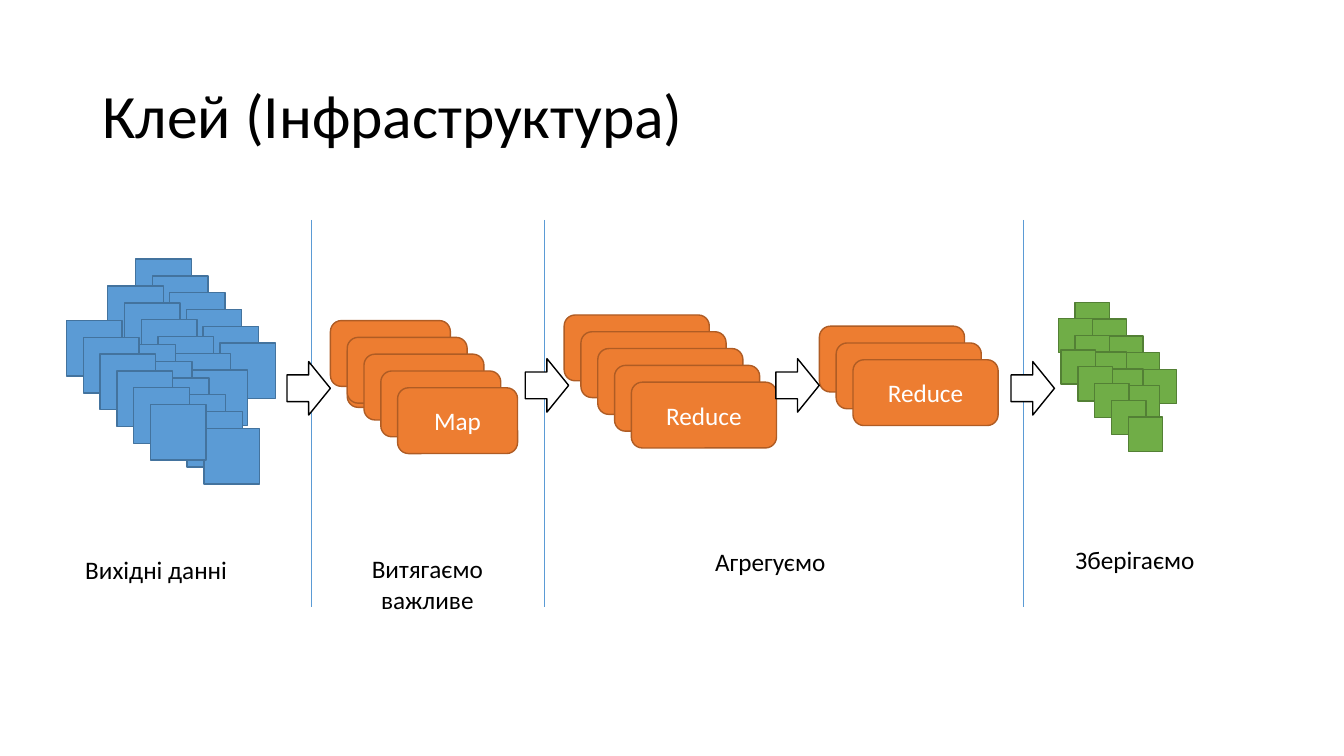
from dataclasses import dataclass
from lxml.etree import SubElement
from pptx import Presentation
from pptx.dml.color import RGBColor
from pptx.enum.shapes import MSO_CONNECTOR, MSO_SHAPE
from pptx.enum.text import MSO_ANCHOR, MSO_AUTO_SIZE, PP_ALIGN
from pptx.oxml.ns import qn
from pptx.util import Pt


@dataclass(frozen=True)
class Theme:
    font: str = "Calibri"
    title_size: int = 44
    text_size: int = 18
    black: str = "000000"
    white: str = "FFFFFF"
    divider: str = "5B9BD5"
    source: tuple = ("5B9BD5", "43739E")
    task: tuple = ("ED7D31", "AF5C24")
    result: tuple = ("70AD47", "538035")
    arrow: tuple = ("FFFFFF", "000000")


T = Theme()
TITLE = "Клей (Інфраструктура)"
STEP = 12

SOURCE_SIZE, RESULT_SIZE = (39.7, 39.7), (24.5, 24.5)
MAP_SIZE, REDUCE_SIZE = (85.7, 47), (103.7, 47)
RECT, CARD = MSO_SHAPE.RECTANGLE, MSO_SHAPE.ROUNDED_RECTANGLE

# kind, colours, size, label, [(left, top, count)]
STACKS = [
    (RECT, T.source, SOURCE_SIZE, "",
     [(97, 185, 6), (77, 204.3, 6), (85.6, 246, 6), (47.5, 229, 6)]),
    (CARD, T.task, MAP_SIZE, "Map",
     [(236, 229, 1), (248, 244, 1), (248, 241, 4)]),
    (CARD, T.task, REDUCE_SIZE, "Reduce", [(403, 225, 5), (585.3, 233, 3)]),
    (RECT, T.result, RESULT_SIZE, "",
     [(768, 216, 5), (756, 227.5, 5), (758, 250, 5)]),
]
DIVIDERS = [222.5, 388.7, 731]
DIVIDER_TOP, DIVIDER_BOTTOM = 157, 433.3
CAPTION_WIDTH = 148.5
CAPTIONS = [
    ("Вихідні данні", 37.3, 392.5, 29),
    ("Витягаємо важливе", 231, 392, 51),
    ("Агрегуємо", 476, 386.5, 29),
    ("Зберігаємо", 736.5, 385.5, 29),
]
ARROW_SIZE = (31, 38.2)
ARROWS = [(205, 258.3), (375.2, 256.2), (554.2, 256.2), (722.2, 258.3)]


def rgb(value):
    return RGBColor.from_string(value)


def write(tf, text, size, color, align):
    p = tf.paragraphs[0]
    p.alignment = align
    r = p.add_run()
    r.text = text
    r.font.name, r.font.size = T.font, Pt(size)
    r.font.color.rgb = rgb(color)


def add_box(kind, left, top, size, colors, label=""):
    sp = s.shapes.add_shape(kind, Pt(left), Pt(top), Pt(size[0]), Pt(size[1]))
    sp.shadow.inherit = False
    sp.fill.solid()
    sp.fill.fore_color.rgb = rgb(colors[0])
    sp.line.color.rgb = rgb(colors[1])
    sp.line.width = Pt(1)
    if label:
        sp.text_frame.vertical_anchor = MSO_ANCHOR.MIDDLE
        write(sp.text_frame, label, T.text_size, T.white, PP_ALIGN.CENTER)


prs = Presentation()
prs.slide_width, prs.slide_height = Pt(960), Pt(540)
s = prs.slides.add_slide(prs.slide_layouts[5])

title = s.shapes.title
title.left, title.top, title.width, title.height = Pt(66), Pt(28.8), Pt(828), Pt(104.4)
title.text_frame.vertical_anchor = MSO_ANCHOR.MIDDLE
write(title.text_frame, TITLE, T.title_size, T.black, PP_ALIGN.LEFT)

for kind, colors, size, label, runs in STACKS:
    for left, top, count in runs:
        for i in range(count):
            add_box(kind, left + i * STEP, top + i * STEP, size, colors, label)

for x in DIVIDERS:
    line = s.shapes.add_connector(
        MSO_CONNECTOR.STRAIGHT, Pt(x), Pt(DIVIDER_TOP), Pt(x), Pt(DIVIDER_BOTTOM))
    line.line.color.rgb = rgb(T.divider)
    line.line.width = Pt(0.5)
    SubElement(line._element.spPr, qn("a:effectLst"))

for text, left, top, height in CAPTIONS:
    tb = s.shapes.add_textbox(Pt(left), Pt(top), Pt(CAPTION_WIDTH), Pt(height))
    tb.text_frame.word_wrap = True
    tb.text_frame.auto_size = MSO_AUTO_SIZE.SHAPE_TO_FIT_TEXT
    write(tb.text_frame, text, T.text_size, T.black, PP_ALIGN.CENTER)

for left, top in ARROWS:
    add_box(MSO_SHAPE.RIGHT_ARROW, left, top, ARROW_SIZE, T.arrow)

prs.save("out.pptx")
